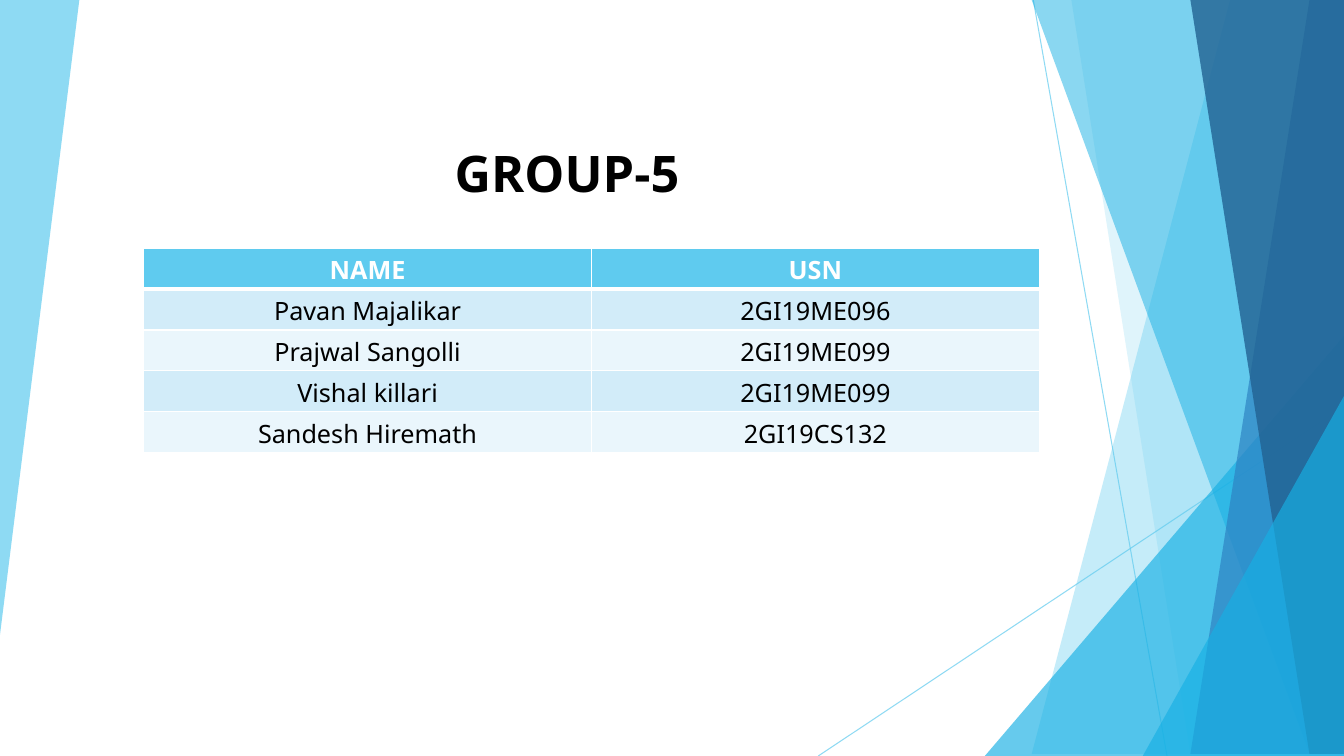
"""Builds the group members slide with its faceted side bands."""
from lxml import etree
from pptx import Presentation, util as u
from pptx.dml.color import RGBColor
from pptx.enum import shapes, text
from pptx.oxml.ns import qn

SKY = RGBColor(0x5F, 0xCB, 0xEF)
CYAN = RGBColor(0x17, 0xB0, 0xE4)
BLUE = RGBColor(0x2E, 0x83, 0xC3)
NAVY = RGBColor(0x22, 0x62, 0x92)
PALE = RGBColor(0xD2, 0xEC, 0xF9)
MIST = RGBColor(0xEA, 0xF6, 0xFC)
WHITE = RGBColor(0xFF, 0xFF, 0xFF)
BLACK = RGBColor(0, 0, 0)
WIDE, HIGH = 33.87, 19.05


def paint(shape, color, alpha):
    shape.shadow.inherit = False
    shape.fill.solid()
    shape.fill.fore_color.rgb = color
    shape.line.fill.background()
    tint = shape._element.spPr.find(".//" + qn("a:srgbClr"))
    etree.SubElement(tint, qn("a:alpha"), val=str(alpha * 1000))


def write(para, words, **form):
    para.alignment = text.PP_ALIGN.CENTER
    run = para.add_run()
    run.text = words
    run.font.color.rgb = form.pop("color")
    for key, val in form.items():
        setattr(run.font, key, val)


deck = Presentation()
deck.slide_width, deck.slide_height = u.Cm(WIDE), u.Cm(HIGH)
slide = deck.slides.add_slide(deck.slide_layouts[6])
items = slide.shapes

lines = [(26.04, 0, 29.41, HIGH), (WIDE, 10.24, 20.62, HIGH)]
left = [(0, 0), (2.39, 0), (0, 15.8)]
bands = [
    ("band", 31.19, 25.5, SKY, 36),
    ("band", 26.67, 30.05, SKY, 20),
    ("wedge", 24.82, 8.46, CYAN, 66),
    ("band", 25.93, 32.79, CYAN, 50),
    ("band", 33.1, 30.28, BLUE, 70),
    ("band", 30.38, 33.48, NAVY, 80),
    ("wedge", 28.8, 9.98, CYAN, 66),
]

pen = items.build_freeform(*left[0], scale=u.Cm(1))
pen.add_line_segments(left[1:])
paint(pen.convert_to_shape(), SKY, 70)

for ends in lines:
    line = items.add_connector(shapes.MSO_CONNECTOR.STRAIGHT, *map(u.Cm, ends))
    line.line.color.rgb = SKY
    line.line.width = u.Pt(0.75)
    props = line._element.spPr
    tint = props.find(".//" + qn("a:srgbClr"))
    etree.SubElement(tint, qn("a:alpha"), val="70000")
    etree.SubElement(props, qn("a:effectLst"))

for kind, start, end, color, alpha in bands:
    if kind == "band":
        pen = items.build_freeform(start, 0, scale=u.Cm(1))
        pen.add_line_segments([(WIDE, 0), (WIDE, HIGH), (end, HIGH)])
        facet = pen.convert_to_shape()
    else:
        box = start, end, WIDE - start, HIGH - end
        facet = items.add_shape(shapes.MSO_SHAPE.ISOSCELES_TRIANGLE, *map(u.Cm, box))
        facet.adjustments[0] = 1
    paint(facet, color, alpha)

title = items.add_textbox(u.Cm(3.51), u.Cm(1.68), u.Cm(21.56), u.Cm(3.05)).text_frame
title.word_wrap = True
title.margin_top = u.Cm(1.9)
write(title.paragraphs[0], "GROUP-5", name="Noto Sans", size=u.Pt(36), bold=True, color=BLACK)

rows = [
    ("NAME", "USN"),
    ("Pavan Majalikar", "2GI19ME096"),
    ("Prajwal Sangolli", "2GI19ME099"),
    ("Vishal killari", "2GI19ME099"),
    ("Sandesh Hiremath", "2GI19CS132"),
]
box = 3.62, 6.25, 22.57, 5.16
table = items.add_table(len(rows), 2, *map(u.Cm, box)).table
for r, row in enumerate(rows):
    head = r == 0
    for c, words in enumerate(row):
        cell = table.cell(r, c)
        props = cell._tc.get_or_add_tcPr()
        for side in "LRTB":
            thick = (r, side) in [(0, "B"), (1, "T")]
            edge = etree.SubElement(props, qn("a:ln" + side), w=str(u.Pt(3 if thick else 1)))
            fill = etree.SubElement(edge, qn("a:solidFill"))
            etree.SubElement(fill, qn("a:srgbClr"), val=str(WHITE))
        cell.fill.solid()
        cell.fill.fore_color.rgb = SKY if head else PALE if r % 2 else MIST
        write(cell.text_frame.paragraphs[0], words, name="Noto Sans", size=u.Pt(18),
              bold=head, color=WHITE if head else BLACK)

deck.save("out.pptx")
